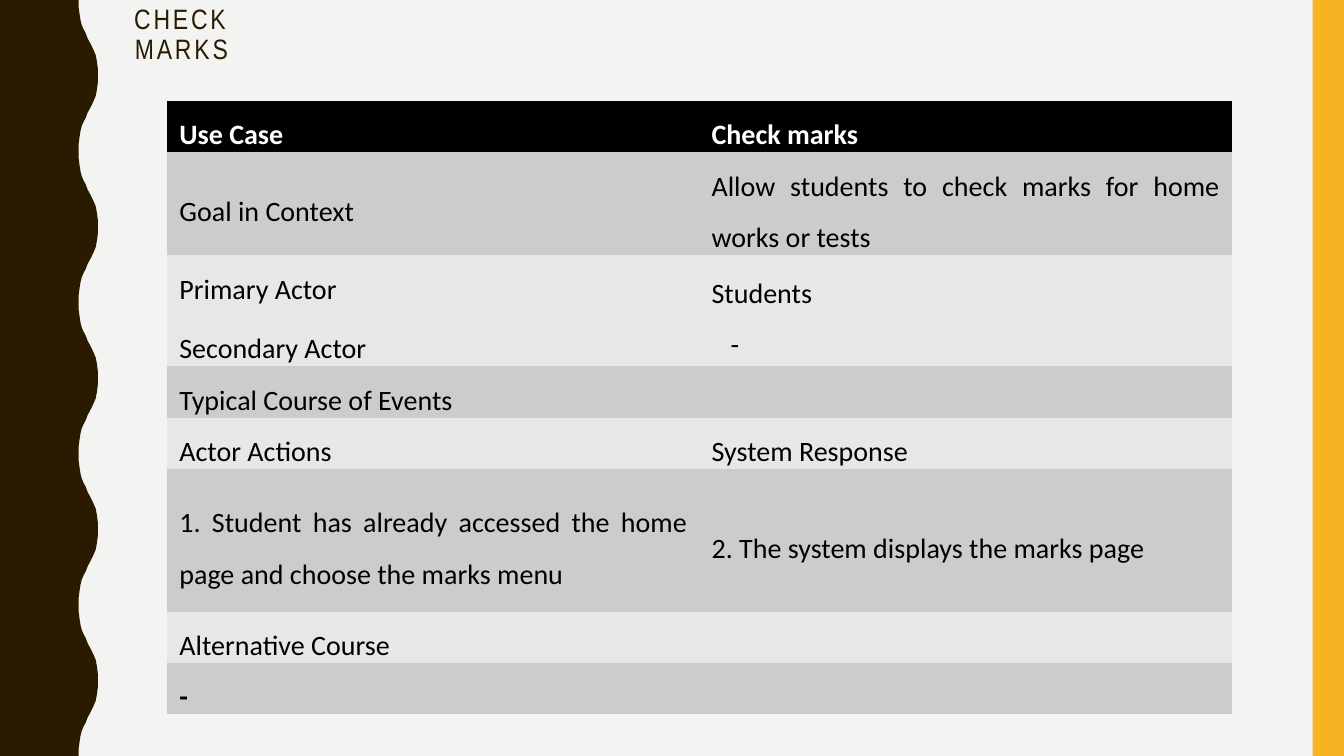
from dataclasses import dataclass

from pptx import Presentation
from pptx.dml.color import RGBColor
from pptx.enum.shapes import MSO_SHAPE
from pptx.enum.text import MSO_ANCHOR, PP_ALIGN
from pptx.util import Inches, Pt

WIDTH, HEIGHT = Inches(13.33), Inches(7.5)
NO_GRID_STYLE = "{2D5ABB26-0587-4C30-8999-92F81FD0307C}"


@dataclass(frozen=True)
class Theme:
    background: str = "F3F3F2"
    brown: str = "2A1A00"
    yellow: str = "F8B323"
    header: str = "000000"
    bands: tuple = ("E7E7E7", "CCCCCC")
    light_text: str = "FFFFFF"
    dark_text: str = "000000"
    title_font: str = "Arial Narrow"
    body_font: str = "Calibri"
    size: int = 20


THEME = Theme()

WAVE_DEPTHS = (0, 0, .05, .1, .16, .26, .37, .47, .58, .68, .79, .89, .95, 1, 1)
WAVE_STEPS = (0, .09, .19, .27, .33, .39, .44, .51, .56, .61, .67, .73, .81, .91, 1)
WAVE_COUNT = 5

USE_CASE_ROWS = (
    (5.73, ("Use Case",), ("Check marks",)),
    (12.27, ("Goal in Context",),
     ("Allow students to check marks for home works or tests",)),
    (14.13, ("Primary Actor", "Secondary Actor"), ("Students", "-")),
    (5.73, ("Typical Course of Events",), None),
    (5.73, ("Actor Actions",), ("System Response",)),
    (18.8, ("1. Student has already accessed the home page and choose the marks menu",),
     ("2. The system displays the marks page",)),
    (5.73, ("Alternative Course",), None),
    (5.73, ("-",), None),
)


def across(percent):
    return round(WIDTH * percent / 100)


def down(percent):
    return round(HEIGHT * percent / 100)


def paint(fill, color):
    fill.solid()
    fill.fore_color.rgb = RGBColor.from_string(color)


def style_run(run, font_name, color, bold=False):
    run.font.name = font_name
    run.font.size = Pt(THEME.size)
    run.font.bold = bold
    run.font.color.rgb = RGBColor.from_string(color)


def finish_shape(shape, color):
    shape.shadow.inherit = False
    paint(shape.fill, color)
    shape.line.fill.background()


def add_wave(slide):
    trough, crest = across(5.85), across(7.28)
    half = HEIGHT / WAVE_COUNT / 2
    rising = list(zip(WAVE_DEPTHS, WAVE_STEPS))
    falling = [(depth, 2 - step) for depth, step in reversed(rising)]
    edge = [(round(trough + (crest - trough) * depth),
             round(half * (2 * wave + step)))
            for wave in range(WAVE_COUNT) for depth, step in rising + falling[1:]]
    builder = slide.shapes.build_freeform(0, 0)
    builder.add_line_segments(edge + [(0, HEIGHT)], close=True)
    finish_shape(builder.convert_to_shape(), THEME.brown)


def add_side_bar(slide):
    left = across(97.67)
    bar = slide.shapes.add_shape(
        MSO_SHAPE.RECTANGLE, left, 0, WIDTH - left, HEIGHT)
    finish_shape(bar, THEME.yellow)


def set_title(slide, text):
    title = slide.shapes.title
    title.left, title.top = across(6), down(1.33)
    title.width, title.height = across(15), down(6.67)
    frame = title.text_frame
    frame.text = text
    frame.word_wrap = True
    frame.vertical_anchor = MSO_ANCHOR.MIDDLE
    paragraph = frame.paragraphs[0]
    paragraph.alignment = PP_ALIGN.CENTER
    paragraph.line_spacing = 0.9
    run = paragraph.runs[0]
    style_run(run, THEME.title_font, THEME.brown)
    run.font._element.set("spc", "200")
    slide.shapes._spTree.append(title._element)


def fill_cell(cell, lines, color, bold, space_after):
    cell.text_frame.text = "\n".join(lines)
    for paragraph in cell.text_frame.paragraphs:
        paragraph.alignment = PP_ALIGN.JUSTIFY
        paragraph.line_spacing = 1.5
        paragraph.space_after = Pt(space_after)
        for run in paragraph.runs:
            style_run(run, THEME.body_font, color, bold)


def add_use_case_table(slide):
    total = sum(share for share, _, _ in USE_CASE_ROWS)
    table = slide.shapes.add_table(
        len(USE_CASE_ROWS), 2, across(12.45), down(13.33),
        across(79.2), down(total)).table
    table._tbl.tblPr.find("{*}tableStyleId").text = NO_GRID_STYLE
    last = len(USE_CASE_ROWS) - 1
    for index, (share, *contents) in enumerate(USE_CASE_ROWS):
        table.rows[index].height = down(share)
        is_header = index == 0
        for column, lines in enumerate(contents):
            cell = table.cell(index, column)
            paint(cell.fill, THEME.header if is_header else THEME.bands[index % 2])
            cell.margin_left = cell.margin_right = Inches(0.12)
            cell.margin_top = cell.margin_bottom = 0
            cell.vertical_anchor = MSO_ANCHOR.TOP if index == last else MSO_ANCHOR.MIDDLE
            if lines:
                color = THEME.light_text if is_header else THEME.dark_text
                fill_cell(cell, lines, color, index in (0, last),
                          6 if column == 0 else 0)
        if contents[1] is None:
            table.cell(index, 0).merge(table.cell(index, 1))
    secondary_actor = table.cell(2, 1).text_frame.paragraphs[1]
    secondary_actor._p.get_or_add_pPr().set("marL", str(Inches(0.19)))


def main():
    presentation = Presentation()
    presentation.slide_width, presentation.slide_height = WIDTH, HEIGHT
    slide = presentation.slides.add_slide(presentation.slide_layouts[5])
    paint(slide.background.fill, THEME.background)
    add_wave(slide)
    add_side_bar(slide)
    set_title(slide, "CHECK MARKS")
    add_use_case_table(slide)
    presentation.save("out.pptx")


if __name__ == "__main__":
    main()
